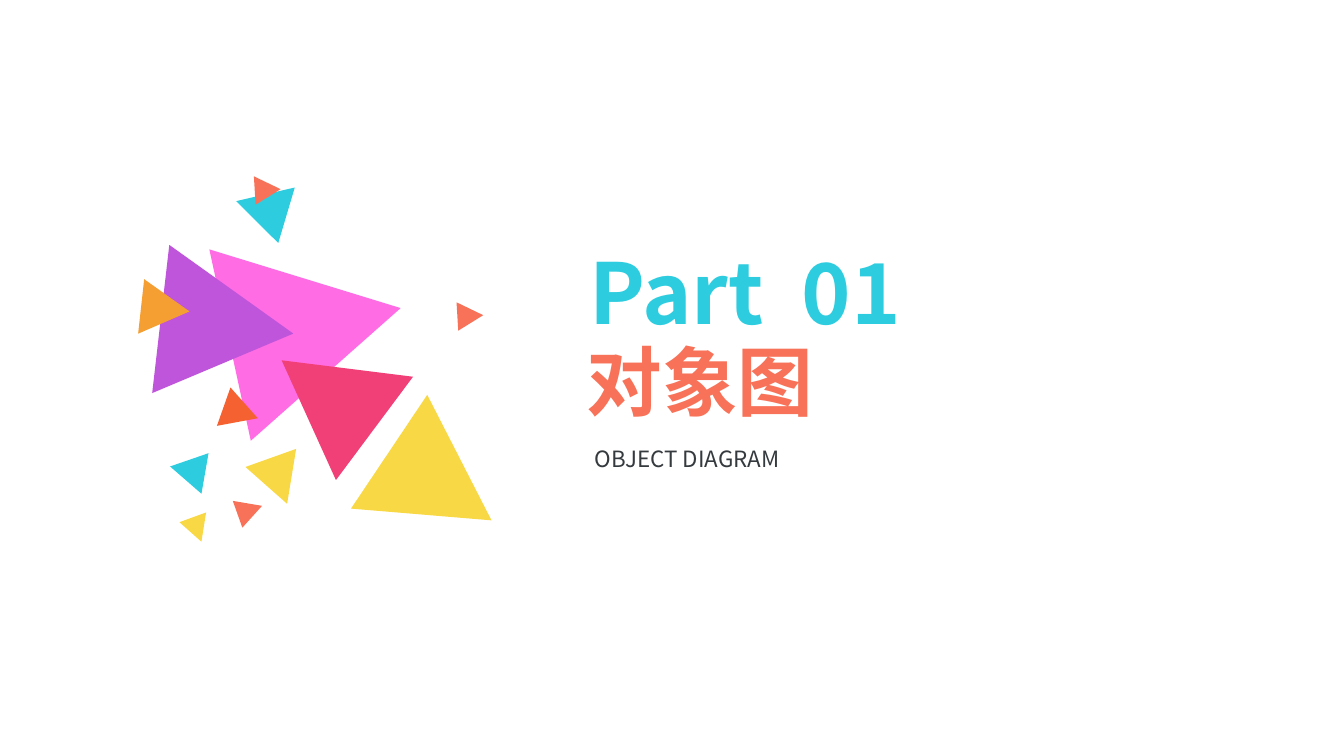
from dataclasses import dataclass

from pptx import Presentation
from pptx import util as u
from pptx.dml.color import RGBColor
from pptx.enum import text

PX = 9144


@dataclass(frozen=True)
class Theme:
    font: str = "Noto Sans CJK SC"
    teal: str = "2DCCDF"
    pink: str = "FF6CE4"
    purple: str = "BF55DB"
    amber: str = "F59E32"
    orange: str = "F56130"
    yellow: str = "F8D845"
    coral: str = "F77258"
    crimson: str = "F04077"
    ink: str = "353A3E"
    part_size: int = 60
    title_size: int = 54
    subtitle_size: int = 16


class SectionSlide:
    def __init__(self, deck, theme):
        self.theme = theme
        self.slide = deck.slides.add_slide(deck.slide_layouts[6])

    def triangle(self, left, top, width, height, turn, color):
        start, *others = [(0, 1), (0.12, 0), (1, 0.6)]
        outline = self.slide.shapes.build_freeform(
            left + start[0] * width, top + start[1] * height, scale=PX)
        outline.add_line_segments(
            [(left + x * width, top + y * height) for x, y in others])
        shard = outline.convert_to_shape()
        shard.rotation = turn
        shard.shadow.inherit = False
        shard.fill.solid()
        shard.fill.fore_color.rgb = RGBColor.from_string(color)
        shard.line.fill.background()

    def label(self, left, top, width, height, runs, size, color, bold=False):
        box = self.slide.shapes.add_textbox(
            *(u.Emu(side * PX) for side in (left, top, width, height)))
        frame = box.text_frame
        frame.word_wrap = True
        frame.auto_size = text.MSO_AUTO_SIZE.NONE
        paragraph = frame.paragraphs[0]
        paragraph.line_spacing = 0.9
        for wording, tracking in runs:
            run = paragraph.add_run()
            run.text = wording
            run.font.name = self.theme.font
            run.font.size = u.Pt(size)
            run.font.bold = bold
            run.font.color.rgb = RGBColor.from_string(color)
            properties = run.font._element
            properties.set("spc", str(tracking))
            east_asian = properties.makeelement(
                properties[-1].tag.replace("latin", "ea"),
                {"typeface": self.theme.font})
            properties.append(east_asian)


def main():
    deck = Presentation()
    deck.slide_width = u.Emu(1333 * PX)
    deck.slide_height = u.Emu(750 * PX)
    theme = Theme()
    section = SectionSlide(deck, theme)

    shards = [
        (233, 181, 55, 57, 189.6, theme.teal),
        (213, 220, 183, 193, 341.3, theme.pink),
        (151, 243, 140, 147, 0, theme.purple),
        (137, 277, 51, 54, 0, theme.amber),
        (219, 387, 38, 40, 12.4, theme.orange),
        (176, 451, 38, 40, 63.9, theme.teal),
        (183, 510, 27, 28, 63.9, theme.yellow),
        (233, 491, 27, 28, 334.3, theme.coral),
        (253, 448, 51, 53, 63.9, theme.yellow),
        (372, 407, 129, 135, 27.5, theme.yellow),
        (265, 335, 121, 127, 210, theme.crimson),
        (452, 298, 27, 28, 350.4, theme.coral),
        (251, 173, 27, 28, 350.4, theme.coral),
    ]
    for shard in shards:
        section.triangle(*shard)

    section.label(575, 245, 450, 111, [("Part", 0), (" ", 1340), ("01", 0)],
                  theme.part_size, theme.teal, bold=True)
    section.label(572, 338, 708, 101, [("对象图", 0)],
                  theme.title_size, theme.coral, bold=True)
    section.label(580, 440, 657, 64, [("OBJECT DIAGRAM", 0)],
                  theme.subtitle_size, theme.ink)
    deck.save("out.pptx")


if __name__ == "__main__":
    main()
